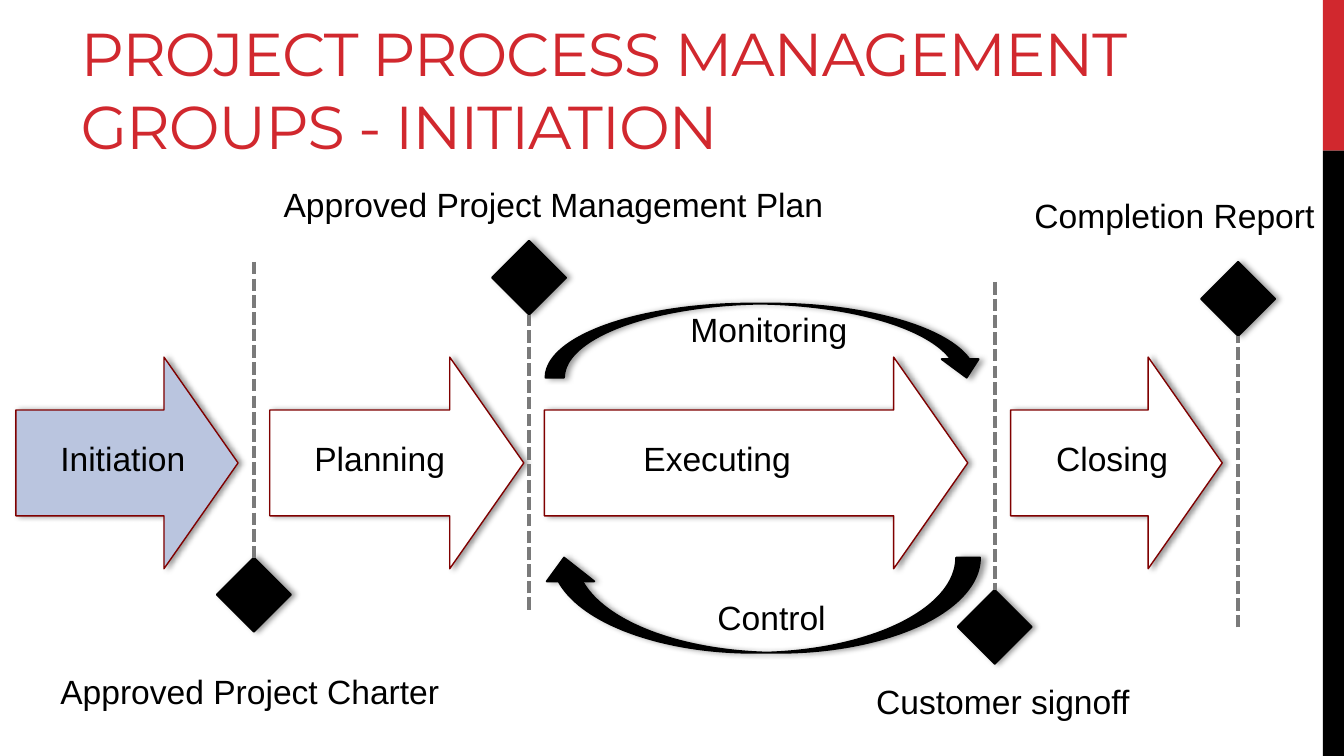
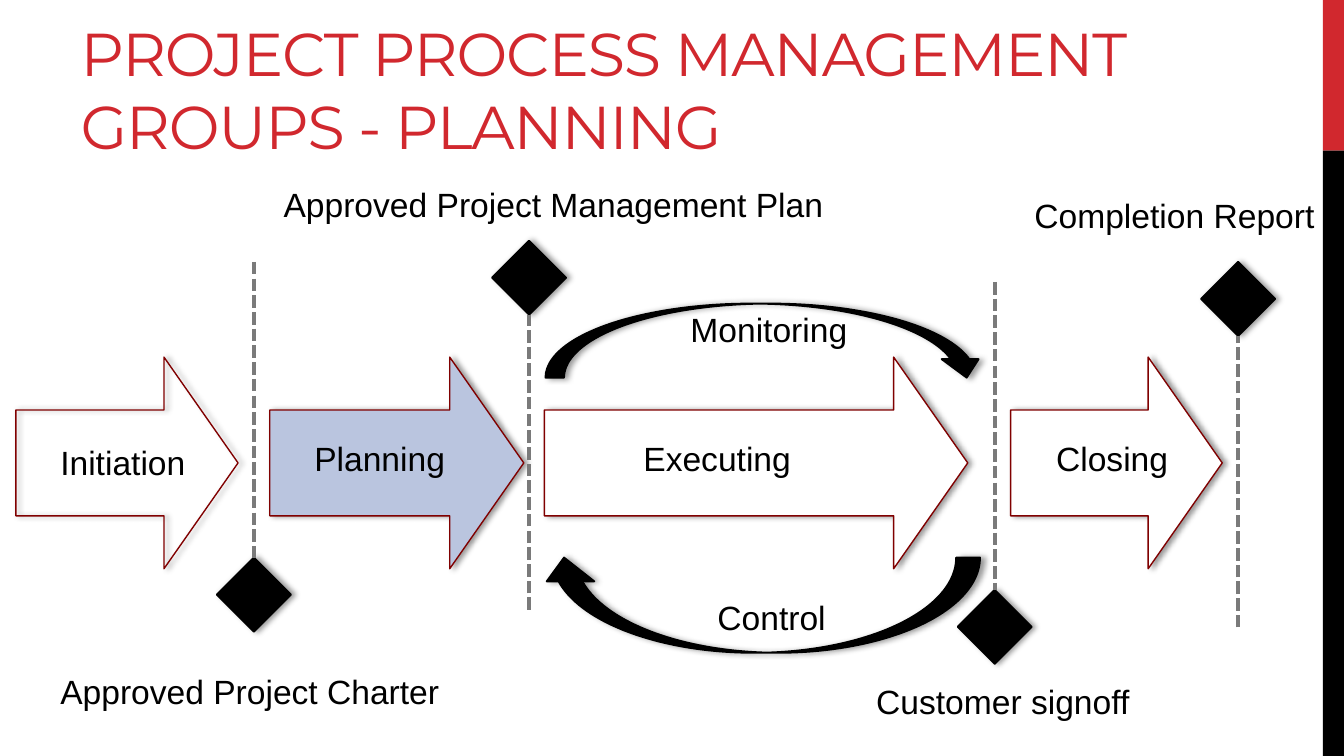
from lxml import etree
from pptx import Presentation
from pptx import util as u
from pptx.dml.color import RGBColor
from pptx.enum import dml, shapes, text
from pptx.oxml.ns import qn

Cm, Pt = u.Cm, u.Pt
Kind = shapes.MSO_SHAPE

# Colours
RED = RGBColor(0xD1, 0x28, 0x2E)
MAROON = RGBColor(0x80, 0x00, 0x00)
BLACK = RGBColor(0x00, 0x00, 0x00)
WHITE = RGBColor(0xFF, 0xFF, 0xFF)
GREY = RGBColor(0x7A, 0x7A, 0x7A)
BLUE = RGBColor(0xBA, 0xC5, 0xDF)

# Slide measures, in cm
WIDE, HIGH = 25.4, 14.29
BAND, SPLIT = 0.4, 2.85
MID, DEPTH = 8.75, 4.0
GEM = 1.4

# Phase: name, arrow left, arrow length, label left, label width
PHASES = [
    ("Planning", 5.1, 4.8, 5.69, 3.0),
    ("Executing", 10.29, 8.0, 11.91, 3.33),
    ("Closing", 19.1, 4.0, 19.71, 2.64),
    ("Initiation", 0.3, 4.2, 0.89, 2.9),
]

# Loop: name, arrow box, turn, label left, top and width
LOOPS = [
    ("Monitoring", (10.31, 5.74, 8.31, 1.4), 0, (12.8, 5.72, 3.51)),
    ("Control", (10.21, 10.54, 8.31, 1.8), 180, (13.31, 11.15, 2.59)),
]

# Gate: name, centre, diamond top, far end of line, label left, top and width
GATES = [
    ("Approved Project Charter", 4.8, 10.54, 4.95, (0.89, 12.55, 7.77)),
    ("Approved Project Management Plan", 10.0, 4.55, 11.53, (5.11, 3.35, 10.85)),
    ("Customer signoff", 18.8, 11.15, 5.33, (16.31, 12.75, 5.38)),
    ("Completion Report", 23.4, 4.95, 11.86, (19.3, 3.56, 5.87)),
]


def write(frame, words, font="Arial", size=18, color=BLACK, track=None,
          wrap=False, anchor=text.MSO_ANCHOR.TOP, fit=text.MSO_AUTO_SIZE.NONE):
    """Put one formatted line of text into a frame."""
    frame.word_wrap = wrap
    frame.auto_size = fit
    frame.vertical_anchor = anchor
    par = frame.paragraphs[0]
    par.alignment = text.PP_ALIGN.LEFT
    run = par.add_run()
    run.text = words
    run.font.name = font
    run.font.size = Pt(size)
    run.font.color.rgb = color
    if track is not None:
        run._r.get_or_add_rPr().set("spc", str(round(track * 100)))


def label(slide, words, left, top, width):
    box = slide.shapes.add_textbox(Cm(left), Cm(top), Cm(width), Cm(1.02))
    write(box.text_frame, words, fit=text.MSO_AUTO_SIZE.SHAPE_TO_FIT_TEXT)


def shade(shape):
    """Give a shape a soft shadow to its right."""
    node = shape.element.spPr.find(qn("a:effectLst"))
    outer = etree.SubElement(node, qn("a:outerShdw"), blurRad=str(Pt(3.1)),
                             dist=str(Pt(1.8)), dir="0", rotWithShape="0")
    tint = etree.SubElement(outer, qn("a:srgbClr"), val=str(BLACK))
    etree.SubElement(tint, qn("a:alpha"), val="40000")


def draw(parent, kind, left, top, width, height, fill, line=None,
         weight=1, turn=0):
    """Draw a preset shape; an outlined one also gets a shadow."""
    shape = parent.shapes.add_shape(kind, Cm(left), Cm(top),
                                    Cm(width), Cm(height))
    shape.rotation = turn
    shape.shadow.inherit = False
    if fill is None:
        shape.fill.background()
    else:
        shape.fill.solid()
        shape.fill.fore_color.rgb = fill
    if line is None:
        shape.line.fill.background()
    else:
        shape.line.color.rgb = line
        shape.line.width = Pt(weight)
        shade(shape)
    return shape


def dash(parent, x, start, end):
    line = parent.shapes.add_connector(shapes.MSO_CONNECTOR.STRAIGHT,
                                       Cm(x), Cm(start), Cm(x), Cm(end))
    line.line.color.rgb = GREY
    line.line.width = Pt(2.25)
    line.line.dash_style = dml.MSO_LINE.SQUARE_DOT
    etree.SubElement(line.element.spPr, qn("a:effectLst"))


def phase(slide, left, length, fill):
    arrow = draw(slide, Kind.DOWN_ARROW, left + (length - DEPTH) / 2,
                 MID - length / 2, DEPTH, length, fill, MAROON, 0.75, 270)
    arrow.adjustments[0] = 0.5
    arrow.adjustments[1] = 0.35


def loop(slide, words, box, turn, spot):
    arrow = draw(slide, Kind.CURVED_UP_ARROW, *box, BLACK, BLACK, turn=turn)
    arrow.element.spPr.xfrm.set("flipV", "1")
    label(slide, words, *spot)


def gate(slide, words, x, top, far, spot):
    group = slide.shapes.add_group_shape()
    draw(group, Kind.FLOWCHART_DECISION, x - GEM / 2, top, GEM, GEM,
         BLACK, BLACK)
    dash(group, x, far, top if far < top else top + GEM)
    label(slide, words, *spot)


def setup(deck, layout):
    """Place the title and the side bands on the shared layout."""
    title = layout.placeholders[0]
    title.left, title.top = Cm(1.27), Cm(0.33)
    title.width, title.height = Cm(21.82), Cm(2.85)
    first = deck.slides.add_slide(layout)
    for top, height, color in ((0, SPLIT, RED), (SPLIT, HIGH - SPLIT, BLACK)):
        band = draw(first, Kind.RECTANGLE, WIDE - BAND, top, BAND, height, color)
        layout.element.cSld.spTree.append(band.element)
    return first


def fill_in(slide, active, blank, drop):
    """Build the process diagram with one phase lit."""
    write(slide.shapes.title.text_frame,
          f"PROJECT PROCESS MANAGEMENT GROUPS - {active.upper()}",
          font="Montserrat", size=32.4, color=RED, track=-0.6, wrap=True,
          anchor=text.MSO_ANCHOR.BOTTOM)
    for name, left, length, _, _ in PHASES:
        plain = None if name == blank else WHITE
        phase(slide, left, length, BLUE if name == active else plain)
    for name, _, _, left, width in PHASES:
        label(slide, name, left, 8.15 + (drop if name == blank else 0), width)
    for item in LOOPS:
        loop(slide, *item)
    for item in GATES:
        gate(slide, *item)


def main():
    deck = Presentation()
    deck.slide_width, deck.slide_height = Cm(WIDE), Cm(HIGH)
    layout = deck.slide_layouts[5]
    first = setup(deck, layout)
    fill_in(first, "Initiation", None, 0)
    fill_in(deck.slides.add_slide(layout), "Planning", "Initiation", 0.08)
    deck.save("out.pptx")


if __name__ == "__main__":
    main()
